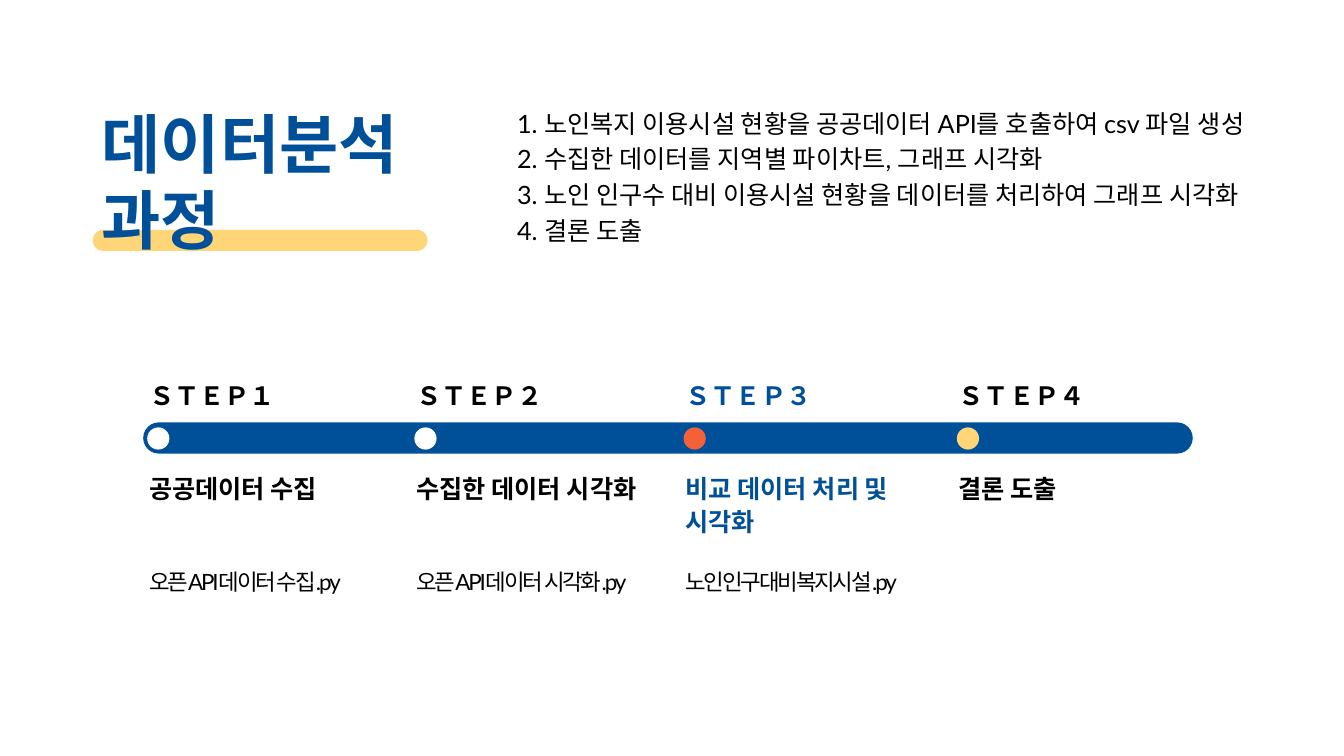
from dataclasses import dataclass

from pptx import Presentation
from pptx.dml.color import RGBColor
from pptx.enum.shapes import MSO_SHAPE as Shape
from pptx.enum.text import MSO_ANCHOR as Anchor
from pptx.util import Inches, Length, Pt


@dataclass(frozen=True)
class Theme:
    """Colours, font and type sizes."""
    font: str = "Lato"
    blue: str = "005099"
    yellow: str = "FFD677"
    orange: str = "F46138"
    white: str = "FFFFFF"
    black: str = "000000"
    title: int = 46
    body: int = 18
    file: int = 16


@dataclass(frozen=True)
class Box:
    """Position and size in inches."""
    left: float
    top: float
    width: float
    height: float

    def lengths(self) -> tuple[Length, ...]:
        """Return the four lengths."""
        return tuple(map(Inches, (self.left, self.top, self.width, self.height)))


@dataclass(frozen=True)
class Style:
    """Look of a text box."""
    size: int
    spacing: float | Length
    anchor: Anchor = Anchor.MIDDLE
    bold: bool = False
    tracking: int = 0


@dataclass(frozen=True)
class Step:
    """One stage of the process."""
    left: float
    label: str
    heading: str
    file: str
    dot: str
    color: str


THEME = Theme()
TITLE = Style(THEME.title, Pt(54.6), bold=True)
BODY = Style(THEME.body, Pt(25.6))
LABEL = Style(THEME.body, 0.9, Anchor.BOTTOM, bold=True)
HEADING = Style(THEME.body, Pt(23.6), Anchor.TOP, bold=True)
FILE = Style(THEME.file, Pt(10), tracking=-150)
STEP_WIDTH = 2.52
DOT_SIZE = 0.22

SUMMARY = [
    "1. 노인복지 이용시설 현황을 공공데이터 API를 호출하여 csv 파일 생성",
    "2. 수집한 데이터를 지역별 파이차트, 그래프 시각화",
    "3. 노인 인구수 대비 이용시설 현황을 데이터를 처리하여 그래프 시각화",
    "4. 결론 도출",
]
STEPS = [
    Step(1.38, "ＳＴＥＰ１", "공공데이터 수집", "오픈API데이터 수집.py", THEME.white, THEME.black),
    Step(4.03, "ＳＴＥＰ２", "수집한 데이터 시각화", "오픈API데이터 시각화.py", THEME.white, THEME.black),
    Step(6.7, "ＳＴＥＰ３", "비교 데이터 처리 및 시각화", "노인인구대비복지시설.py", THEME.orange, THEME.blue),
    Step(9.41, "ＳＴＥＰ４", "결론 도출", "", THEME.yellow, THEME.black),
]


def add_text(s, box: Box, lines: list[str], style: Style, color: str) -> None:
    """Add a wrapped text box with one paragraph per line."""
    tf = s.shapes.add_textbox(*box.lengths()).text_frame
    tf.word_wrap = True
    tf.vertical_anchor = style.anchor
    tf.text = "\n".join(lines)
    for p in tf.paragraphs:
        p.line_spacing = style.spacing
        p.font.name = THEME.font
        p.font.size = Pt(style.size)
        p.font.bold = style.bold
        p.font.color.rgb = RGBColor.from_string(color)
        if style.tracking:
            for r in p.runs:
                r.font._element.set("spc", str(style.tracking))


def add_shape(s, kind: Shape, box: Box, color: str) -> None:
    """Add a flat shape, fully rounded where its corners allow."""
    sp = s.shapes.add_shape(kind, *box.lengths())
    sp.shadow.inherit = False
    sp.fill.solid()
    sp.fill.fore_color.rgb = RGBColor.from_string(color)
    sp.line.fill.background()
    if kind == Shape.ROUNDED_RECTANGLE:
        sp.adjustments[0] = 0.5


def add_step(s, step: Step) -> None:
    """Add the dot and texts of one step."""
    add_shape(s, Shape.OVAL, Box(step.left + 0.08, 4.24, DOT_SIZE, DOT_SIZE), step.dot)
    add_text(s, Box(step.left, 3.72, STEP_WIDTH, 0.41), [step.label], LABEL, step.color)
    add_text(s, Box(step.left, 4.62, STEP_WIDTH, 0.85), [step.heading], HEADING, step.color)
    if step.file:
        add_text(s, Box(step.left, 5.47, STEP_WIDTH, 0.73), [step.file], FILE, THEME.black)


def main() -> None:
    """Build and save the slide."""
    prs = Presentation()
    prs.slide_width, prs.slide_height = Inches(13.33), Inches(7.5)
    s = prs.slides.add_slide(prs.slide_layouts[6])
    add_shape(s, Shape.ROUNDED_RECTANGLE, Box(0.92, 2.28, 3.32, 0.21), THEME.yellow)
    add_text(s, Box(0.91, 0.84, 4.12, 1.91), ["데이터분석\u3000과정".replace("\u3000", "　")], TITLE, THEME.blue)
    add_text(s, Box(5.03, 0.7, 7.85, 2.05), SUMMARY, BODY, THEME.black)
    add_shape(s, Shape.ROUNDED_RECTANGLE, Box(1.42, 4.19, 10.41, 0.31), THEME.blue)
    for step in STEPS:
        add_step(s, step)
    prs.save("out.pptx")


if __name__ == "__main__":
    main()
